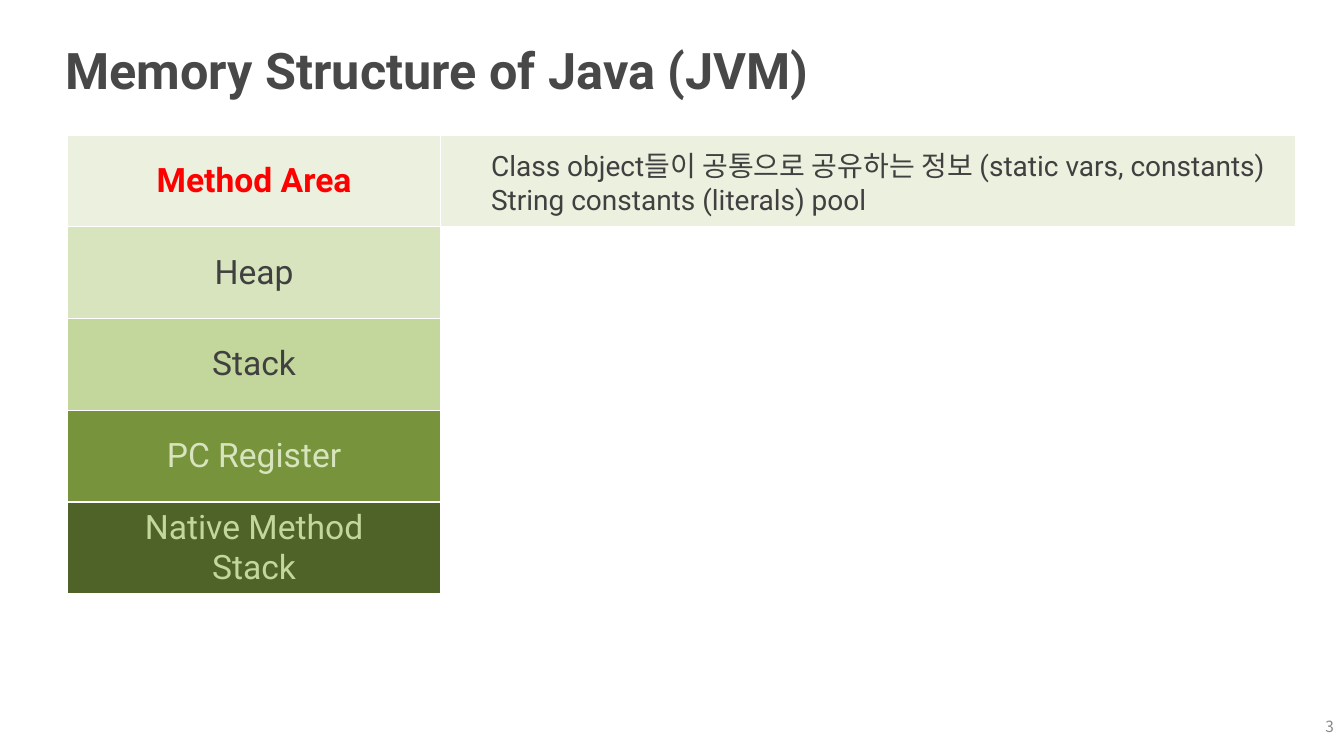
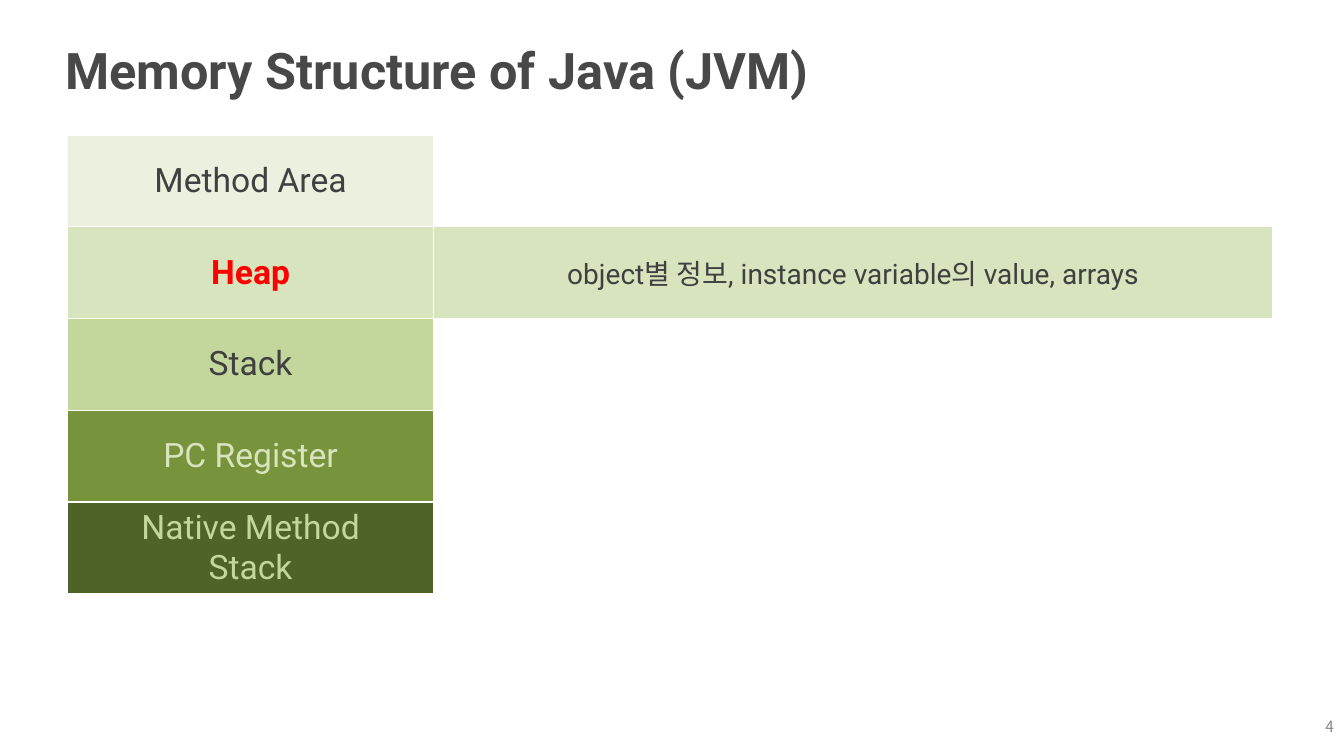
from lxml import etree
from pptx import Presentation
from pptx.dml.color import RGBColor
from pptx.enum.text import MSO_ANCHOR, PP_ALIGN
from pptx.oxml.ns import qn
from pptx.util import Inches, Pt

MIDDLE = MSO_ANCHOR.MIDDLE
LEFT, CENTER, RIGHT = PP_ALIGN.LEFT, PP_ALIGN.CENTER, PP_ALIGN.RIGHT

LATIN_FONT = "Roboto"
KOREAN_FONT = "Noto Sans CJK KR"
TITLE_COLOR = "484848"
TEXT_COLOR = "404040"
NUMBER_COLOR = "888888"
HIGHLIGHT = "FF0000"
BORDER = "FFFFFF"

TITLE = "Memory Structure of Java (JVM)"
ROW_HEIGHT = 0.91
AREAS = [
    (["Method Area"], "EBF1DE", TEXT_COLOR),
    (["Heap"], "D7E4BD", TEXT_COLOR),
    (["Stack"], "C3D69B", TEXT_COLOR),
    (["PC Register"], "77933C", "D7E4BD"),
    (["Native Method", "Stack"], "4F6228", "C3D69B"),
]
SLIDES = [
    dict(number="3", active=0, widths=(3.7, 8.48), align=LEFT, indent=0.5,
         notes=["Class object들이 공통으로 공유하는 정보 (static vars, constants)",
                "String constants (literals) pool"]),
    dict(number="4", active=1, widths=(3.63, 8.32), align=CENTER, indent=0,
         notes=["object별 정보, instance variable의 value, arrays"]),
]


def rgb(color):
    return RGBColor.from_string(color)


def add_lines(tf, lines, size, color, bold=False, align=LEFT, font=LATIN_FONT, indent=0):
    for i, line in enumerate(lines):
        p = tf.paragraphs[0] if i == 0 else tf.add_paragraph()
        p.alignment = align
        if indent:
            p._p.get_or_add_pPr().set("marL", str(Inches(indent)))
        r = p.add_run()
        r.text = line
        r.font.size = Pt(size)
        r.font.bold = bold
        r.font.color.rgb = rgb(color)
        r.font.name = font
        ea = etree.SubElement(r._r.get_or_add_rPr(), qn("a:ea"))
        ea.set("typeface", KOREAN_FONT)


def add_text(s, box, text, size, color, wrap=True, **style):
    sp = s.shapes.add_textbox(*map(Inches, box))
    tf = sp.text_frame
    tf.word_wrap = wrap
    tf.vertical_anchor = MIDDLE
    tf.margin_left = tf.margin_right = tf.margin_top = tf.margin_bottom = Inches(0.05)
    add_lines(tf, [text], size, color, **style)


def set_borders(cell, color):
    tcPr = cell._tc.get_or_add_tcPr()
    for i, side in enumerate(("lnL", "lnR", "lnT", "lnB")):
        ln = etree.Element(qn(f"a:{side}"), w=str(Pt(1)))
        fill = etree.SubElement(ln, qn("a:solidFill"))
        etree.SubElement(fill, qn("a:srgbClr"), val=color)
        tcPr.insert(i, ln)


def style_cell(cell, fill=None):
    cell.vertical_anchor = MIDDLE
    cell.margin_left = cell.margin_right = cell.margin_top = cell.margin_bottom = 0
    if fill:
        cell.fill.solid()
        cell.fill.fore_color.rgb = rgb(fill)
    else:
        cell.fill.background()
    set_borders(cell, BORDER)


def add_memory_table(s, active, widths, notes, align, indent):
    frame = s.shapes.add_table(len(AREAS), len(widths), Inches(0.67), Inches(1.34),
                               Inches(sum(widths)), Inches(ROW_HEIGHT * len(AREAS)))
    table = frame.table
    table.first_row = table.horz_banding = False
    for column, width in zip(table.columns, widths):
        column.width = Inches(width)
    for i, (name, fill, color) in enumerate(AREAS):
        table.rows[i].height = Inches(ROW_HEIGHT)
        is_active = i == active
        area, note = table.cell(i, 0), table.cell(i, 1)
        style_cell(area, fill)
        style_cell(note, fill if is_active else None)
        add_lines(area.text_frame, name, 24, HIGHLIGHT if is_active else color,
                  bold=is_active, align=CENTER)
        if is_active:
            add_lines(note.text_frame, notes, 20, TEXT_COLOR, align=align, indent=indent)


def add_memory_slide(prs, number, **table):
    s = prs.slides.add_slide(prs.slide_layouts[6])
    add_text(s, (0.6, 0.29, 12.08, 0.79), TITLE, 36, TITLE_COLOR, bold=True)
    add_text(s, (13.07, 7.08, 0.21, 0.26), number, 11, NUMBER_COLOR, wrap=False,
             align=RIGHT, font=KOREAN_FONT)
    add_memory_table(s, **table)


def main():
    prs = Presentation()
    prs.slide_width, prs.slide_height = Inches(13.33), Inches(7.5)
    for slide in SLIDES:
        add_memory_slide(prs, **slide)
    prs.save("out.pptx")


if __name__ == "__main__":
    main()
